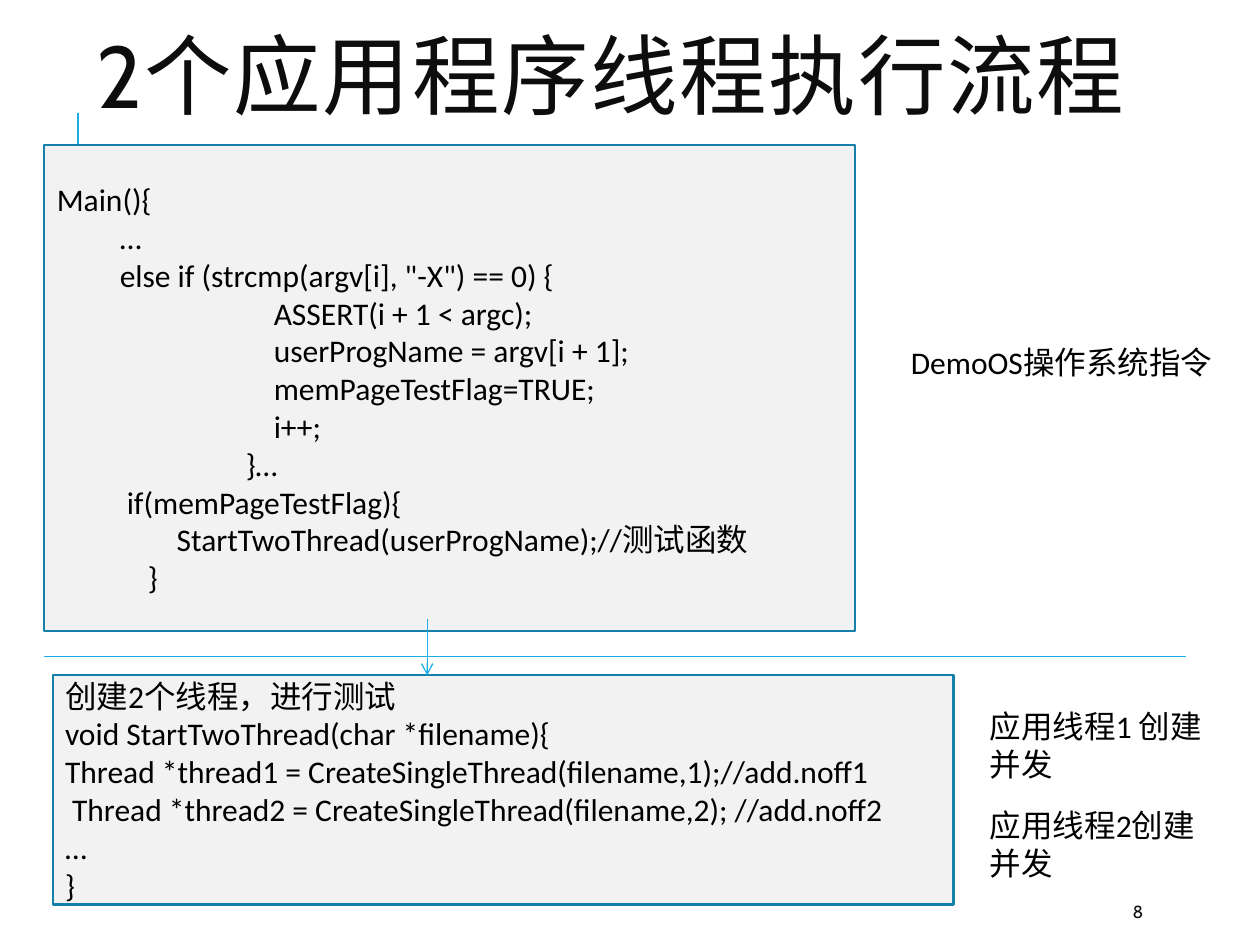
from pptx import Presentation
from pptx.util import Pt
from pptx.dml.color import RGBColor
from pptx.enum.shapes import MSO_CONNECTOR, MSO_SHAPE
from pptx.enum.text import MSO_ANCHOR as ANCHOR, MSO_AUTO_SIZE as AUTO, PP_ALIGN as ALIGN
from pptx.oxml.ns import qn
from lxml.etree import SubElement

COLORS = {"ink": "0D0D0D", "code": "000000", "panel": "F2F2F2",
          "border": "1580A9", "accent": "1CADE4"}


def write(sp, lines, size=18, font="Calibri", color="code", anchor=ANCHOR.TOP):
    """Fill a shape with (left indent, text) lines in one style."""
    tf = sp.text_frame
    tf.word_wrap = True
    tf.auto_size = AUTO.NONE
    tf.vertical_anchor = anchor
    tf.text = "\n".join(text for _, text in lines)
    for p, (indent, _) in zip(tf.paragraphs, lines):
        p.alignment = ALIGN.LEFT
        if indent:
            pPr = p._p.get_or_add_pPr()
            pPr.set("marL", str(Pt(indent)))
            pPr.set("indent", "0")
        for r in p.runs:
            r.font.size = Pt(size)
            r.font.name = font
            r.font.color.rgb = RGBColor.from_string(COLORS[color])


def add_line(x1, y1, x2, y2, width):
    """Add a straight accent line without a shadow."""
    line = s.shapes.add_connector(MSO_CONNECTOR.STRAIGHT, Pt(x1), Pt(y1), Pt(x2), Pt(y2))
    line.line.color.rgb = RGBColor.from_string(COLORS["accent"])
    line.line.width = Pt(width)
    SubElement(line._element.spPr, qn("a:effectLst"))
    return line


prs = Presentation()
prs.slide_width, prs.slide_height = Pt(720), Pt(540)
s = prs.slides.add_slide(prs.slide_layouts[5])

# Title
add_line(44.6, 136.8, 44.6, 64.8, 1.5)
title = s.shapes.title
title.left, title.top, title.width, title.height = Pt(48.2), Pt(15.1), Pt(652.3), Pt(65.5)
write(title, [(0, "2个应用程序线程执行流程")], 50, "Cabin", "ink", ANCHOR.MIDDLE)
p = title.text_frame.paragraphs[0]
p.line_spacing = 0.8
p.runs[0].font._element.set("spc", "100")

# Code panels: position and (indent, text) lines
main_code = [
    (0, "Main(){"),
    (36, "…"),
    (36, 'else if (strcmp(argv[i], "-X") == 0) {'),
    (124, "ASSERT(i + 1 < argc);"),
    (124, "userProgName = argv[i + 1];"),
    (124, "memPageTestFlag=TRUE;"),
    (124, "i++;"),
    (108, "}…"),
    (40, "if(memPageTestFlag){"),
    (68.5, "StartTwoThread(userProgName);//测试函数"),
    (52, "}"),
]
thread_code = [
    (0, "创建2个线程，进行测试"),
    (0, "void StartTwoThread(char *filename){"),
    (0, "Thread *thread1 = CreateSingleThread(filename,1);//add.noff1"),
    (4, "Thread *thread2 = CreateSingleThread(filename,2); //add.noff2"),
    (0, "…"),
    (0, "}"),
]
for box, code in [((25.4, 82.8, 463, 277.9), main_code),
                  ((30.1, 385.9, 514.8, 131), thread_code)]:
    panel = s.shapes.add_shape(MSO_SHAPE.RECTANGLE, *map(Pt, box))
    panel.shadow.inherit = False
    panel.fill.solid()
    panel.fill.fore_color.rgb = RGBColor.from_string(COLORS["panel"])
    panel.line.color.rgb = RGBColor.from_string(COLORS["border"])
    panel.line.width = Pt(1.25)
    write(panel, code, anchor=ANCHOR.MIDDLE)

# Call arrow and divider
arrow = add_line(244.1, 353.5, 244.1, 385.9, 0.75)
SubElement(arrow.line._get_or_add_ln(), qn("a:tailEnd"), type="arrow")
add_line(25.4, 375.1, 677.5, 375.1, 0.75)

# Side notes
notes = [
    ((513.4, 192.7, 193, 29), ["DemoOS操作系统指令"]),
    ((558.5, 400.3, 150.5, 51), ["应用线程1 创建", "并发"]),
    ((558.5, 457.2, 150.5, 51), ["应用线程2创建", "并发"]),
]
for box, lines in notes:
    note = s.shapes.add_textbox(*map(Pt, box))
    write(note, [(0, text) for text in lines])

page = s.shapes.add_textbox(Pt(640.1), Pt(509.8), Pt(57.6), Pt(21.6))
write(page, [(0, "8")], 10, "Cabin", "ink", ANCHOR.MIDDLE)

prs.save("out.pptx")
